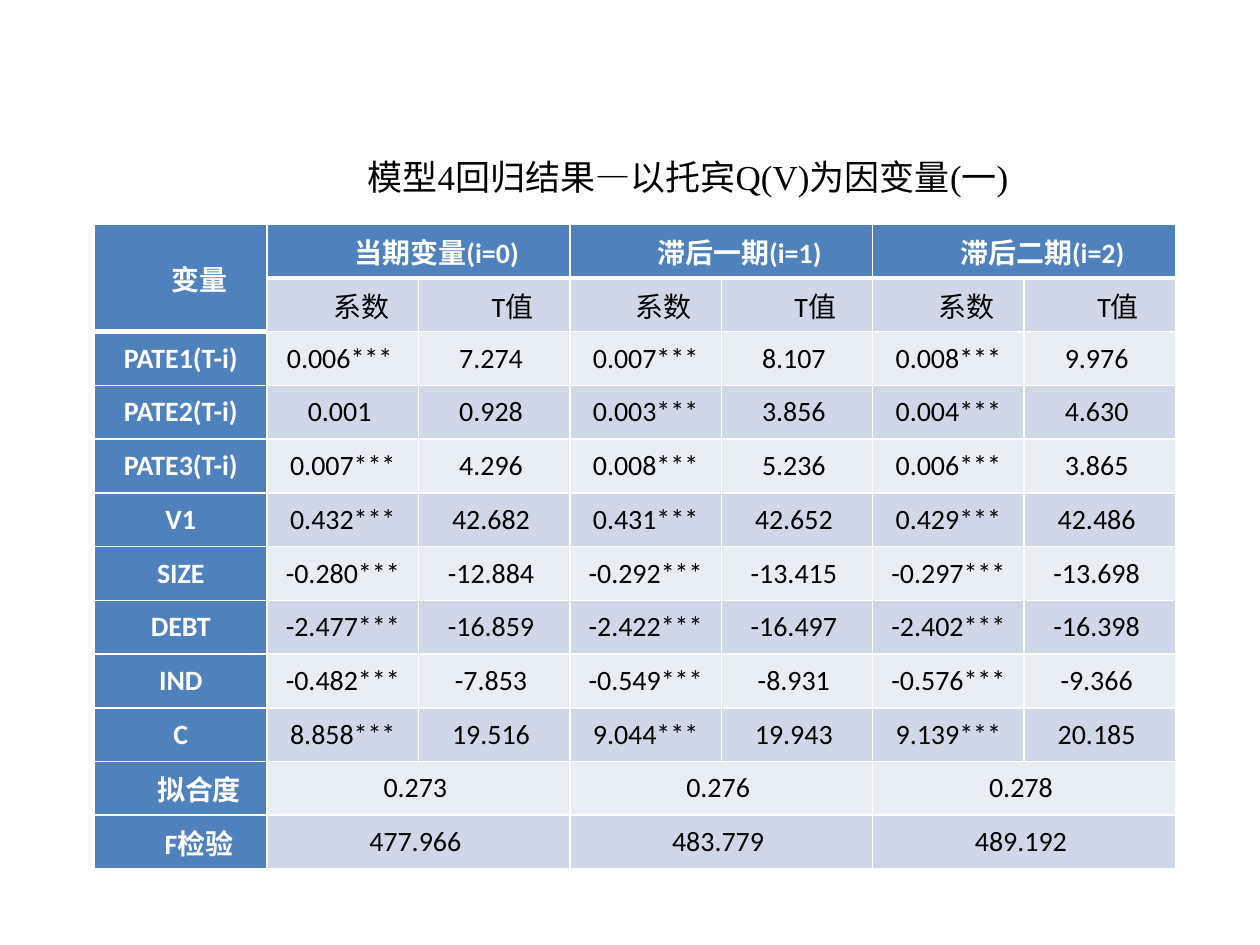
from pptx import Presentation
from pptx.dml.color import RGBColor
from pptx.enum.text import MSO_ANCHOR, MSO_AUTO_SIZE, PP_ALIGN
from pptx.util import Inches, Pt
from lxml.etree import fromstring

THEME = {
    "blue": "4F81BD", "dark": "D0D8E8", "light": "E9EDF4",
    "white": "FFFFFF", "black": "000000",
    "title": 20, "body": 16, "thin": 1, "thick": 3,
}
NS = "http://schemas.openxmlformats.org/drawingml/2006/main"


def write(frame, text, font="Calibri", size="body", color="black", bold=False):
    """Put one centred line in a frame; Chinese text gets a first-line indent."""
    para = frame.paragraphs[0]
    para.alignment = PP_ALIGN.CENTER
    if any(char > "\u2e80" for char in text):
        props = para._p.get_or_add_pPr()
        props.set("marL", "0")
        props.set("indent", str(Inches(0.29)))
    run = para.add_run()
    run.text = text
    run.font.name = font
    run.font.size = Pt(THEME[size])
    run.font.bold = bold
    run.font.color.rgb = RGBColor.from_string(THEME[color])


def border(cell, **sides):
    """Draw white cell borders, each side given as thin or thick."""
    props = cell._tc.get_or_add_tcPr()
    for side in "LRTB":
        width = Pt(THEME[sides.get(side, "thin")])
        props.append(fromstring(
            f'<a:ln{side} xmlns:a="{NS}" w="{width}"><a:solidFill>'
            f'<a:srgbClr val="{THEME["white"]}"/></a:solidFill></a:ln{side}>'))


periods = ["当期变量(i=0)", "滞后一期(i=1)", "滞后二期(i=2)"]
results = [
    ["PATE1(T-i)", "0.006*** ", "7.274 ", "0.007***", "8.107 ", "0.008***", "9.976 "],
    ["PATE2(T-i)", "0.001 ", "0.928 ", "0.003***", "3.856 ", "0.004***", "4.630 "],
    ["PATE3(T-i)", "0.007***", "4.296 ", "0.008***", "5.236 ", "0.006***", "3.865 "],
    ["V1", "0.432***", "42.682 ", "0.431***", "42.652 ", "0.429***", "42.486 "],
    ["SIZE", "-0.280***", "-12.884 ", "-0.292***", "-13.415 ", "-0.297***", "-13.698 "],
    ["DEBT", "-2.477***", "-16.859 ", "-2.422***", "-16.497 ", "-2.402***", "-16.398 "],
    ["IND", "-0.482***", "-7.853 ", "-0.549***", "-8.931 ", "-0.576***", "-9.366 "],
    ["C", "8.858***", "19.516 ", "9.044***", "19.943 ", "9.139***", "20.185 "],
]
fits = [
    ["拟合度", "0.273 ", "0.276 ", "0.278 "],
    ["F检验", "477.966 ", "483.779 ", "489.192 "],
]

# Paired columns: a value spanning two columns leaves the second one empty
rows = [["变量"] + [text for name in periods for text in (name, "")]]
rows.append([""] + ["系数", "T值"] * len(periods))
rows += results
rows += [[name] + [text for value in values for text in (value, "")]
         for name, *values in fits]

deck = Presentation()
deck.slide_width, deck.slide_height = Inches(10), Inches(7.5)
slide = deck.slides.add_slide(deck.slide_layouts[6])

count, width = len(rows), len(rows[0])
table = slide.shapes.add_table(
    count, width, Inches(0.75), Inches(1.78), Inches(8.58), Inches(5.12)).table
for line in table.rows:
    line.height = int(Inches(5.12) / count)
for index, column in enumerate(table.columns):
    column.width = Inches(1.37) if index == 0 else int(Inches(7.21) / (width - 1))

for r, row in enumerate(rows):
    for c, text in enumerate(row):
        cell = table.cell(r, c)
        head = r == 0 or c == 0
        split = 2 if c == 0 else 1
        border(cell, T="thick" if r == split else "thin",
               B="thick" if r == 0 or r == split - 1 else "thin")
        band = "dark" if r % 2 else "light"
        cell.fill.solid()
        cell.fill.fore_color.rgb = RGBColor.from_string(THEME["blue" if head else band])
        cell.vertical_anchor = MSO_ANCHOR.MIDDLE
        cell.margin_left = cell.margin_right = Inches(0.07)
        cell.margin_top = cell.margin_bottom = 0
        if text:
            write(cell.text_frame, text, color="white" if head else "black", bold=head)

table.cell(0, 0).merge(table.cell(1, 0))
for r in (0, count - 2, count - 1):
    for c in range(1, width, 2):
        table.cell(r, c).merge(table.cell(r, c + 1))

title = slide.shapes.add_textbox(
    Inches(1.93), Inches(1.18), Inches(6.77), Inches(0.44)).text_frame
title.word_wrap = True
title.auto_size = MSO_AUTO_SIZE.SHAPE_TO_FIT_TEXT
title.vertical_anchor = MSO_ANCHOR.MIDDLE
write(title, "模型4回归结果—以托宾Q(V)为因变量(一)".replace("(", "(").replace(")", ")"),
      font="Times New Roman", size="title")

deck.save("out.pptx")
